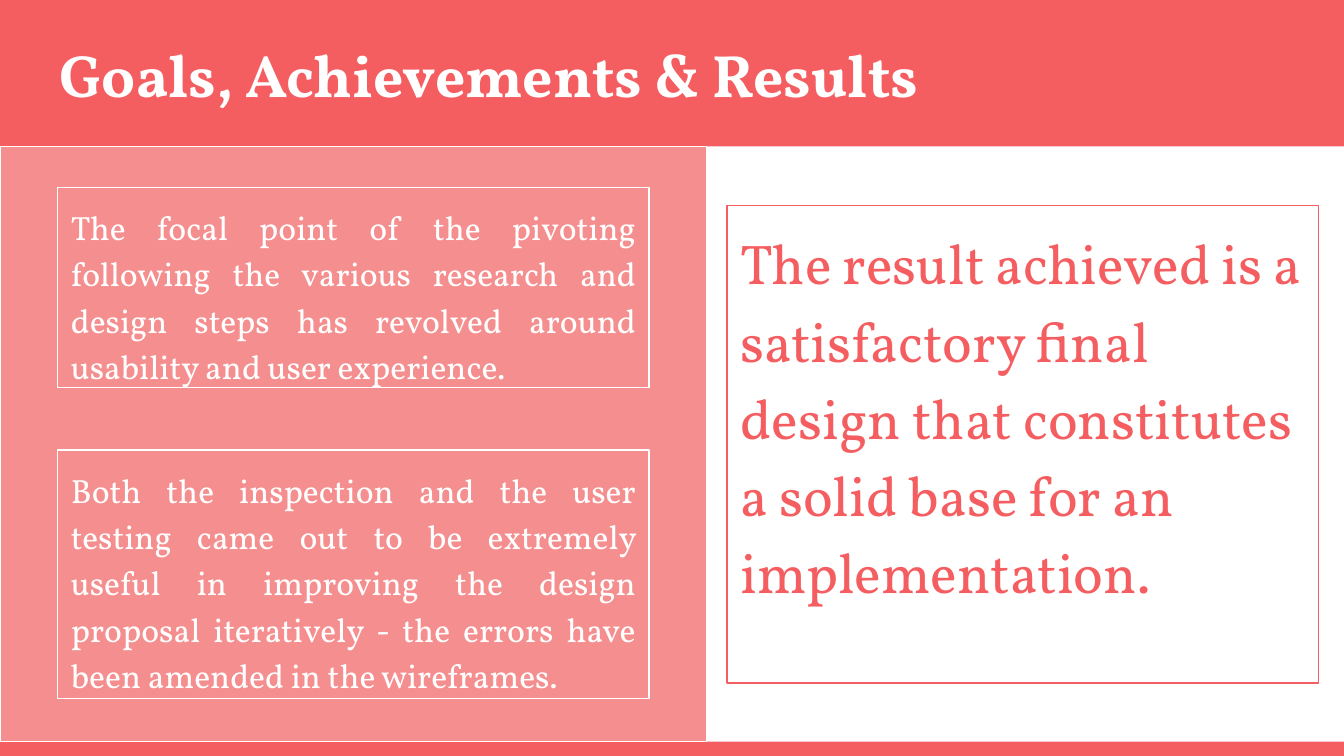
"""Build the goals, achievements and results slide."""
import pptx
import pptx.dml.color
import pptx.enum.shapes
import pptx.enum.text
import pptx.util

Cm, Pt = pptx.util.Cm, pptx.util.Pt
ALIGN = pptx.enum.text.PP_ALIGN
CORAL = pptx.dml.color.RGBColor(0xF5, 0x5E, 0x61)
PINK = pptx.dml.color.RGBColor(0xF5, 0x8F, 0x8F)
WHITE = pptx.dml.color.RGBColor(0xFF, 0xFF, 0xFF)

WIDTH, HEIGHT = 25.4, 14.29
HEADER, FOOTER = 2.77, 0.27
BOX_WIDTH = 11.18

prs = pptx.Presentation()
prs.slide_width, prs.slide_height = Cm(WIDTH), Cm(HEIGHT)
s = prs.slides.add_slide(prs.slide_layouts[6])


def add_box(left, top, width, height, fill=None, line=None):
    sp = s.shapes.add_shape(pptx.enum.shapes.MSO_SHAPE.RECTANGLE,
                            Cm(left), Cm(top), Cm(width), Cm(height))
    sp.shadow.inherit = False
    if fill is None:
        sp.fill.background()
    else:
        sp.fill.solid()
        sp.fill.fore_color.rgb = fill
    if line is None:
        sp.line.fill.background()
    else:
        sp.line.color.rgb = line
        sp.line.width = Pt(0.75)
    return sp


def add_text(sp, text, size, color, align=ALIGN.LEFT, spacing=1.15, bold=False):
    tf = sp.text_frame
    frame = {"word_wrap": True, "vertical_anchor": pptx.enum.text.MSO_ANCHOR.TOP}
    for side in ("left", "top", "right", "bottom"):
        frame[f"margin_{side}"] = Cm(0.25)
    for name, value in frame.items():
        setattr(tf, name, value)
    p = tf.paragraphs[0]
    p.alignment, p.line_spacing = align, spacing
    r = p.add_run()
    r.text = text
    for name, value in {"name": "Vollkorn", "size": Pt(size), "bold": bold}.items():
        setattr(r.font, name, value)
    r.font.color.rgb = color


add_box(0, HEIGHT - FOOTER, WIDTH, FOOTER, fill=CORAL)
sp = add_box(13.74, 3.89, BOX_WIDTH, 9.02, line=CORAL)
add_text(sp, "The result achieved is a satisfactory final design that constitutes "
             "a solid base for an implementation.", 30, CORAL)

add_box(0, 0, WIDTH, HEADER, fill=CORAL)
sp = s.shapes.add_textbox(Cm(0.87), Cm(0.46), Cm(23.67), Cm(1.73))
add_text(sp, "Goals, Achievements & Results", 32, WHITE, spacing=1, bold=True)

add_box(0, HEADER, 13.35, HEIGHT - HEADER - FOOTER, fill=PINK, line=WHITE)
goals = [
    (3.55, 3.78, "The focal point of the pivoting following the various research and "
                 "design steps has revolved around usability and user experience."),
    (8.51, 4.7, "Both the inspection and the user testing came out to be extremely "
                "useful in improving the design proposal iteratively - the errors "
                "have been amended in the wireframes."),
]
for top, height, text in goals:
    sp = add_box(1.09, top, BOX_WIDTH, height, line=WHITE)
    add_text(sp, text, 18, WHITE, align=ALIGN.JUSTIFY)

prs.save("out.pptx")
